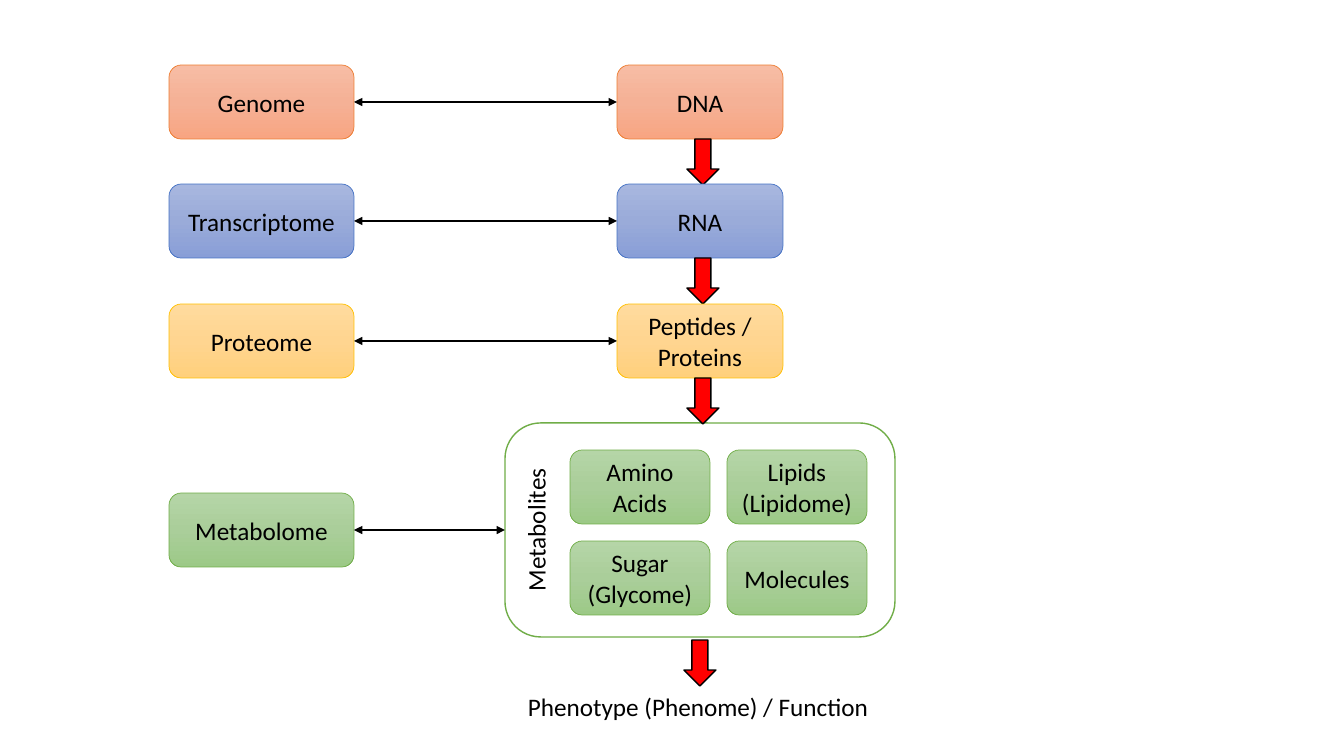
from copy import deepcopy
from dataclasses import dataclass

from lxml import etree
from pptx import Presentation
from pptx.dml.color import RGBColor
from pptx.enum.shapes import MSO_CONNECTOR, MSO_SHAPE
from pptx.enum.text import MSO_ANCHOR, MSO_AUTO_SIZE, PP_ALIGN
from pptx.oxml.ns import qn
from pptx.util import Emu, Pt

ROUND = MSO_SHAPE.ROUNDED_RECTANGLE
DOWN = MSO_SHAPE.DOWN_ARROW
STRAIGHT = MSO_CONNECTOR.STRAIGHT
CENTER, LEFT = PP_ALIGN.CENTER, PP_ALIGN.LEFT
TOP, MIDDLE = MSO_ANCHOR.TOP, MSO_ANCHOR.MIDDLE
SCALE = 914400 / 100.8


@dataclass(frozen=True)
class Theme:
    font: str = "Calibri"
    size: int = 18
    ink: str = "000000"
    paper: str = "FFFFFF"
    arrow: str = "FF0000"
    thin: float = 0.5
    edge: float = 1
    link: float = 2
    orange: tuple = ("ED7D31", "F7BDA5", "F5B196", "F8A582")
    blue: tuple = ("4472C4", "A8B7DF", "9AABD9", "889ED7")
    gold: tuple = ("FFC000", "FFDB9E", "FFD590", "FFD07C")
    green: tuple = ("70AD47", "B5D5A7", "AACE9A", "9CC987")


THEME = Theme()


def px(*values):
    return [Emu(round(value * SCALE)) for value in values]


def rgb(code):
    return RGBColor.from_string(code)


def write(frame, text, align=CENTER):
    frame.text = text
    for para in frame.paragraphs:
        para.alignment = align
        para.font.name = THEME.font
        para.font.size = Pt(THEME.size)
        para.font.color.rgb = rgb(THEME.ink)


def add_form(slide, kind, place, fill, line, width):
    form = slide.shapes.add_shape(kind, *px(*place))
    form.shadow.inherit = False
    form.fill.solid()
    form.fill.fore_color.rgb = rgb(fill)
    form.line.color.rgb = rgb(line)
    form.line.width = Pt(width)
    return form


def add_box(slide, place, text, tone):
    line, *shades = tone
    box = add_form(slide, ROUND, place, shades[0], line, THEME.thin)
    box.fill.gradient()
    box.fill.gradient_angle = 270
    stops = box._element.spPr.find(".//" + qn("a:gsLst"))
    stops.insert(1, deepcopy(stops[0]))
    for stop, shade, spot in zip(box.fill.gradient_stops, shades, (0, 0.5, 1)):
        stop.color.rgb = rgb(shade)
        stop.position = spot
    box.text_frame.word_wrap = True
    box.text_frame.vertical_anchor = MIDDLE
    write(box.text_frame, text)


def add_panel(slide, place, text):
    panel = add_form(slide, ROUND, place, THEME.paper, THEME.green[0], THEME.edge)
    frame = panel.text_frame
    frame.vertical_anchor = TOP
    frame._txBody.bodyPr.set("vert", "vert270")
    write(frame, text)


def add_arrow(slide, left, top):
    add_form(slide, DOWN, (left, top, 32, 46), THEME.arrow, THEME.ink, THEME.edge)


def add_link(slide, start, end, y):
    link = slide.shapes.add_connector(STRAIGHT, *px(start, y, end, y))
    link.line.color.rgb = rgb(THEME.ink)
    link.line.width = Pt(THEME.link)
    line = link.line._get_or_add_ln()
    for side in ("a:headEnd", "a:tailEnd"):
        etree.SubElement(line, qn(side)).set("type", "triangle")
    etree.SubElement(link._element.spPr, qn("a:effectLst"))


def add_label(slide, place, text):
    frame = slide.shapes.add_textbox(*px(*place)).text_frame
    frame.word_wrap = False
    frame.auto_size = MSO_AUTO_SIZE.SHAPE_TO_FIT_TEXT
    write(frame, text, LEFT)


def main():
    deck = Presentation()
    deck.slide_width, deck.slide_height = px(1344, 756)
    slide = deck.slides.add_slide(deck.slide_layouts[6])

    tall = 74
    ome_x, ome_w = 169, 185
    mol_x, mol_w = 617, 166
    ome_end = ome_x + ome_w
    panel_x, panel_y, panel_w, panel_h = 505, 423, 390, 214

    add_panel(slide, (panel_x, panel_y, panel_w, panel_h), "Metabolites")
    levels = [
        (65, "Genome", "DNA", THEME.orange),
        (184, "Transcriptome", "RNA", THEME.blue),
        (304, "Proteome", "Peptides / Proteins", THEME.gold),
    ]
    for top, ome, mol, tone in levels:
        add_box(slide, (ome_x, top, ome_w, tall), ome, tone)
        add_box(slide, (mol_x, top, mol_w, tall), mol, tone)
        add_link(slide, ome_end, mol_x, top + tall // 2)
        add_arrow(slide, 687, top + tall)

    mid = panel_y + panel_h // 2
    add_box(slide, (ome_x, mid - tall // 2, ome_w, tall), "Metabolome", THEME.green)
    add_link(slide, ome_end, panel_x, mid)

    parts = ["Amino Acids", "Lipids\n(Lipidome)", "Sugar\n(Glycome)", "Molecules"]
    for i, part in enumerate(parts):
        row, col = divmod(i, 2)
        place = (570 + 157 * col, 450 + 91 * row, 140, tall)
        add_box(slide, place, part, THEME.green)

    add_arrow(slide, 684, 640)
    add_label(slide, (518, 686, 365, 40), "Phenotype (Phenome) / Function")
    deck.save("out.pptx")


main()
